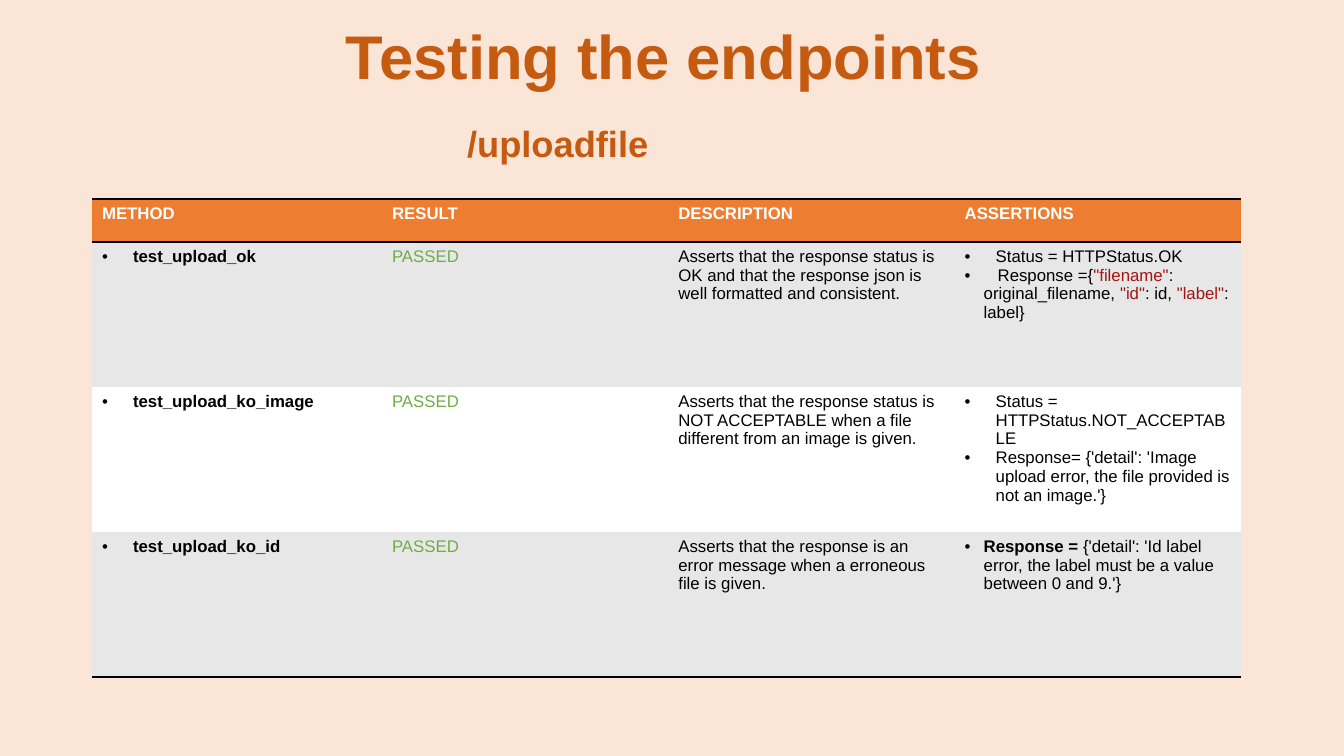
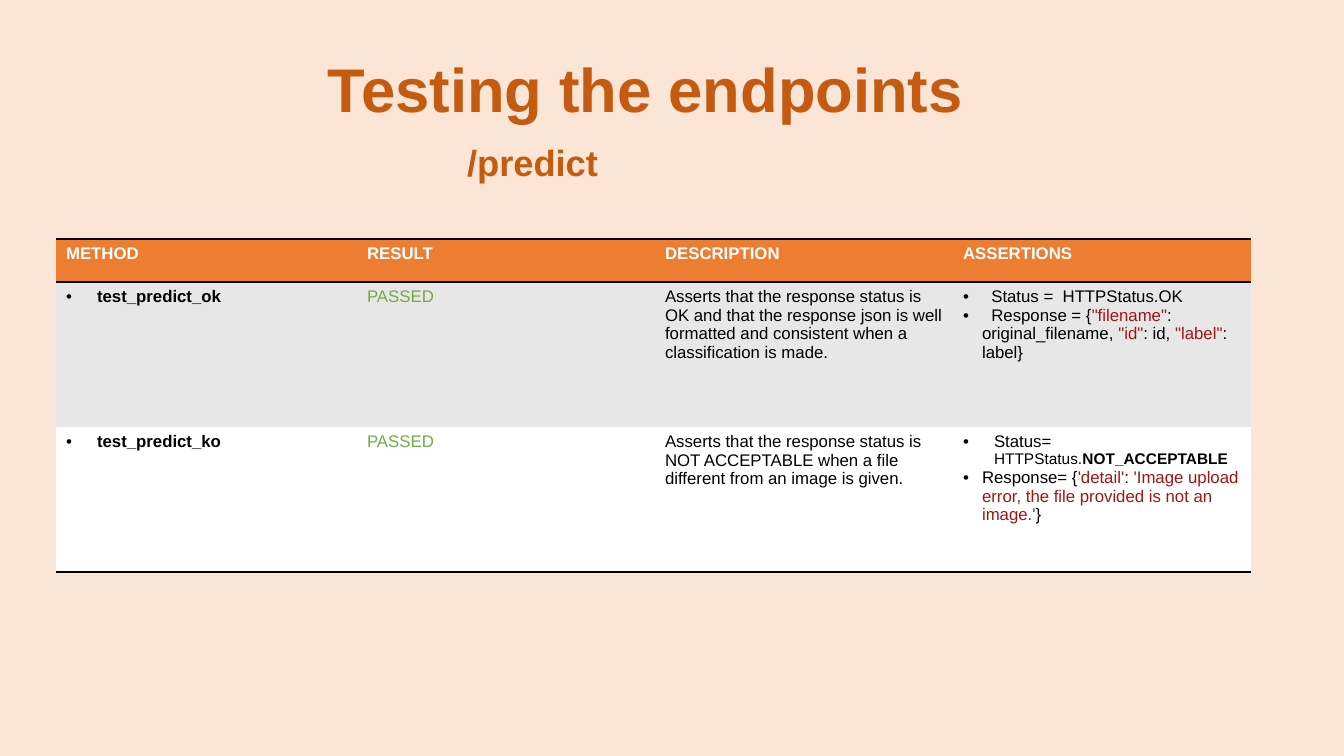
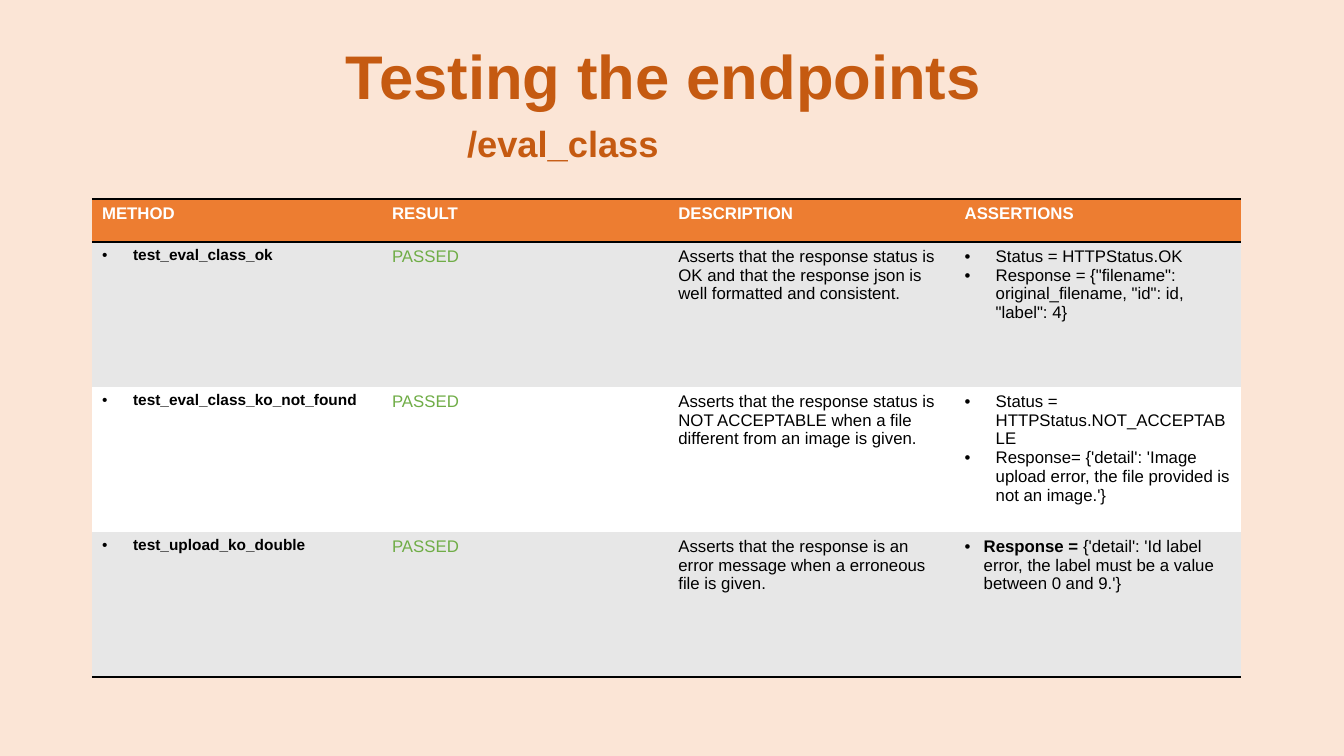
"""Builds three slides that report the endpoint tests in tables."""
from lxml.etree import SubElement
from pptx import Presentation
from pptx.dml.color import RGBColor
from pptx.enum.text import MSO_ANCHOR, MSO_AUTO_SIZE, PP_ALIGN
from pptx.oxml.ns import qn
from pptx.util import Emu, Pt

SCALE = 914400 / 100.8
SLIDE_SIZE = (1344, 756)
TITLE_SIZE = (1159, 146)
SUBTITLE_SIZE = (359, 81)
SUBTITLE_LEFT = 457
HEADER_HEIGHT, ROW_HEIGHT = 43, 145
WIDE, NARROW = 31, 19

THEME = {
    "background": "FBE5D6",
    "header": "ED7D31",
    "bands": ("E7E7E7", "FFFFFF"),
    "border": "000000",
    "border_width": 2,
    "font": "Arial",
    "styles": {
        "title": {"size": 44, "bold": True, "color": "C55A11"},
        "subtitle": {"size": 25.9, "bold": True, "color": "C55A11"},
        "header": {"size": 12, "bold": True, "color": "FFFFFF"},
        "plain": {"size": 12, "bold": False, "color": "000000"},
        "strong": {"size": 12, "bold": True, "color": "000000"},
        "passed": {"size": 12, "bold": False, "color": "70AD47"},
        "string": {"size": 12, "bold": False, "color": "A31515"},
        "small": {"size": 11, "bold": False, "color": "000000"},
        "small_strong": {"size": 11, "bold": True, "color": "000000"},
    },
}

TITLE = "Testing the endpoints "
HEADERS = ("METHOD", "RESULT", "DESCRIPTION", "ASSERTIONS")
RESULT = "PASSED"
WELL_FORMATTED = "Asserts that the response status is OK and that the response json is well formatted and consistent"
NOT_ACCEPTABLE = (
    "Asserts that the response status is NOT ACCEPTABLE when a file different from an image is given."
)
ERRONEOUS = "Asserts that the response is an error message when a erroneous file is given."

STATUS_OK = (WIDE, [("Status = HTTPStatus.OK", "plain")])
RESPONSE_FIELDS = [
    ('"filename"', "string"), (": original_filename, ", "plain"),
    ('"id"', "string"), (": id, ", "plain"),
    ('"label"', "string"), (": label}", "plain"),
]
IMAGE_ERROR = [
    (WIDE, [("Status = HTTPStatus.NOT_ACCEPTABLE", "plain")]),
    (WIDE, [("Response= {'detail': 'Image upload error, the file provided is not an image.'}", "plain")]),
]
LABEL_ERROR = [
    (NARROW, [
        ("Response = ", "strong"),
        ("{'detail': 'Id label error, the label must be a value between 0 and 9.'}", "plain"),
    ]),
]

SLIDES = [
    {
        "endpoint": "/uploadfile", "title_at": (93, -13), "subtitle_top": 93,
        "table_at": (92, 199), "table_width": 1149, "first_column": 290, "method_style": "strong",
        "tests": [
            ("test_upload_ok", WELL_FORMATTED + ".",
             [STATUS_OK, (NARROW, [("   Response ={", "plain"), *RESPONSE_FIELDS])]),
            ("test_upload_ko_image", NOT_ACCEPTABLE, IMAGE_ERROR),
            ("test_upload_ko_id", ERRONEOUS, LABEL_ERROR),
        ],
    },
    {
        "endpoint": "/predict", "title_at": (75, 20), "subtitle_top": 112,
        "table_at": (56, 239), "table_width": 1195, "first_column": 301, "method_style": "strong",
        "tests": [
            ("test_predict_ok", WELL_FORMATTED + " when a classification is made.",
             [(NARROW, [("  Status =  HTTPStatus.OK", "plain")]),
              (NARROW, [("  Response = {", "plain"), *RESPONSE_FIELDS])]),
            ("test_predict_ko", NOT_ACCEPTABLE,
             [(WIDE, [("Status= ", "plain"), ("HTTPStatus.", "small"), ("NOT_ACCEPTABLE", "small_strong")]),
              (NARROW, [
                  ("Response= {", "plain"), ("'detail'", "string"), (": ", "plain"),
                  ("'Image upload error, the file provided is not an image.'", "string"), ("}", "plain"),
              ])]),
        ],
    },
    {
        "endpoint": "/eval_class", "title_at": (93, 7), "subtitle_top": 93,
        "table_at": (92, 199), "table_width": 1149, "first_column": 290, "method_style": "small_strong",
        "tests": [
            ("test_eval_class_ok", WELL_FORMATTED + ".",
             [STATUS_OK,
              (WIDE, [('Response = {"filename": original_filename, "id": id, "label": 4}', "plain")])]),
            ("test_eval_class_ko_not_found", NOT_ACCEPTABLE, IMAGE_ERROR),
            ("test_upload_ko_double", ERRONEOUS, LABEL_ERROR),
        ],
    },
]


def px(length):
    """Turns px into EMU."""
    return Emu(round(length * SCALE))


def set_all(target, values):
    """Sets every attribute named in a dict."""
    for name, value in values.items():
        setattr(target, name, value)


def fill_solid(fill, color):
    """Gives a fill one plain colour."""
    fill.solid()
    fill.fore_color.rgb = RGBColor.from_string(color)


def add_run(paragraph, text, style_name):
    """Adds a run in one of the theme styles."""
    style = THEME["styles"][style_name]
    run = paragraph.add_run()
    run.text = text
    set_all(run.font, {"name": THEME["font"], "size": Pt(style["size"]), "bold": style["bold"]})
    run.font.color.rgb = RGBColor.from_string(style["color"])


def set_bullet(paragraph, indent):
    """Gives a paragraph a hanging bullet, or none when the indent is zero."""
    properties = paragraph._p.get_or_add_pPr()
    properties.set("marL", str(px(indent)))
    properties.set("indent", str(px(-indent)))
    if indent:
        SubElement(properties, qn("a:buFont"), typeface=THEME["font"])
        SubElement(properties, qn("a:buChar"), char="•")
    else:
        SubElement(properties, qn("a:buNone"))


def write_placeholder(shape, box, text, style_name, frame_format, paragraph_format):
    """Moves a placeholder and writes its single paragraph."""
    set_all(shape, dict(zip(("left", "top", "width", "height"), map(px, box))))
    frame = shape.text_frame
    set_all(frame, {"word_wrap": True, "auto_size": MSO_AUTO_SIZE.NONE, **frame_format})
    paragraph = frame.paragraphs[0]
    set_all(paragraph, {"space_before": Pt(0), **paragraph_format})
    set_bullet(paragraph, 0)
    add_run(paragraph, text, style_name)


def set_borders(cell, ruled_sides):
    """Draws the ruled sides of a cell and clears the others."""
    properties = cell._tc.get_or_add_tcPr()
    for side in "LRTB":
        line = SubElement(properties, qn(f"a:ln{side}"), w=str(Pt(THEME["border_width"])))
        if side in ruled_sides:
            SubElement(SubElement(line, qn("a:solidFill")), qn("a:srgbClr"), val=THEME["border"])
        else:
            SubElement(line, qn("a:noFill"))


def write_cell(cell, paragraphs, color, ruled_sides):
    """Fills a cell with its paragraphs, colour and borders."""
    set_borders(cell, ruled_sides)
    fill_solid(cell.fill, color)
    for index, (indent, runs) in enumerate(paragraphs):
        frame = cell.text_frame
        paragraph = frame.add_paragraph() if index else frame.paragraphs[0]
        set_bullet(paragraph, indent)
        for text, style_name in runs:
            add_run(paragraph, text, style_name)


def add_test_table(slide, content):
    """Adds the table of tests for one endpoint."""
    rows = [[[(0, [(header, "header")])] for header in HEADERS]]
    for method, description, assertions in content["tests"]:
        rows.append([
            [(WIDE, [(method, content["method_style"])])],
            [(0, [(RESULT, "passed")])],
            [(0, [(description, "plain")])],
            assertions,
        ])
    width, first = content["table_width"], content["first_column"]
    heights = [HEADER_HEIGHT] + [ROW_HEIGHT] * len(content["tests"])
    box = (*content["table_at"], width, sum(heights))
    table = slide.shapes.add_table(len(rows), len(HEADERS), *map(px, box)).table
    for index, column in enumerate(table.columns):
        column.width = px((width - first) / (len(HEADERS) - 1) if index else first)
    for row_index, row in enumerate(rows):
        table.rows[row_index].height = px(heights[row_index])
        color = THEME["bands"][(row_index - 1) % 2] if row_index else THEME["header"]
        top = "T" if row_index <= 1 else ""
        bottom = "B" if row_index in (0, len(rows) - 1) else ""
        for column_index, paragraphs in enumerate(row):
            write_cell(table.cell(row_index, column_index), paragraphs, color, top + bottom)


def add_endpoint_slide(presentation, content):
    """Adds the title, the endpoint and its table."""
    slide = presentation.slides.add_slide(presentation.slide_layouts[1])
    write_placeholder(
        slide.shapes.title, (*content["title_at"], *TITLE_SIZE), TITLE, "title",
        {"vertical_anchor": MSO_ANCHOR.MIDDLE}, {"alignment": PP_ALIGN.CENTER, "line_spacing": 0.9},
    )
    write_placeholder(
        slide.placeholders[1], (SUBTITLE_LEFT, content["subtitle_top"], *SUBTITLE_SIZE),
        content["endpoint"], "subtitle",
        {"vertical_anchor": MSO_ANCHOR.BOTTOM, "margin_bottom": px(9)},
        {"alignment": PP_ALIGN.LEFT, "line_spacing": 0.8},
    )
    add_test_table(slide, content)


def main():
    """Builds and saves the presentation."""
    presentation = Presentation()
    set_all(presentation, dict(zip(("slide_width", "slide_height"), map(px, SLIDE_SIZE))))
    fill_solid(presentation.slide_master.background.fill, THEME["background"])
    for content in SLIDES:
        add_endpoint_slide(presentation, content)
    presentation.save("out.pptx")


if __name__ == "__main__":
    main()
